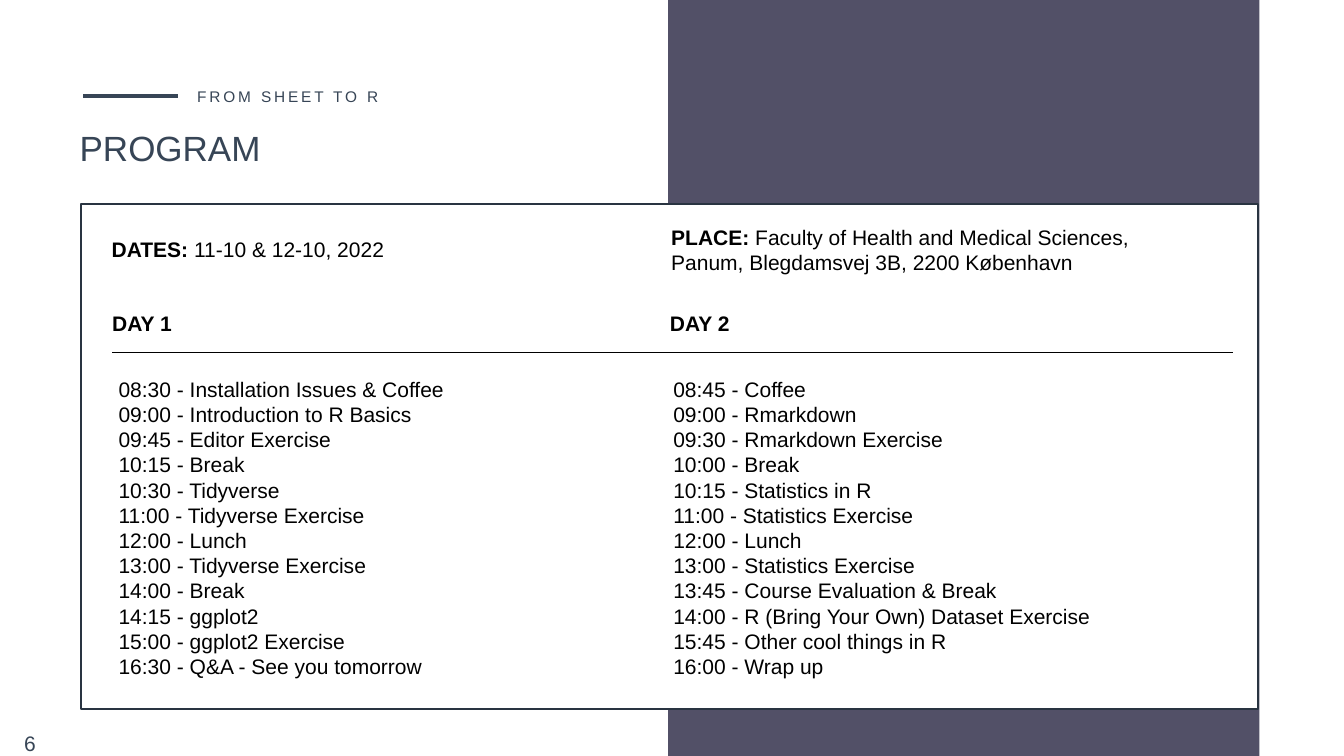
"""Build the two-day course program slide."""
from dataclasses import dataclass

import pptx
import pptx.dml.color
import pptx.enum.shapes
import pptx.enum.text
import pptx.oxml.ns
import pptx.util

Inches = pptx.util.Inches
Pt = pptx.util.Pt
ALIGN = pptx.enum.text.PP_ALIGN
ANCHOR = pptx.enum.text.MSO_ANCHOR

SLATE = "374556"
NAVY = "293441"
PURPLE = "525067"
BLACK = "000000"
WHITE = "FFFFFF"


@dataclass
class Label:
    left: float
    top: float
    width: float
    height: float
    lines: list[str]
    bold: str = ""
    size: float = 30
    color: str = BLACK
    align: int = ALIGN.LEFT
    anchor: int = ANCHOR.MIDDLE
    wrap: bool = False
    inset: float = 0.06
    spacing: int = 0


@dataclass
class Rule:
    left: float
    right: float
    y: float
    color: str
    weight: float


def rgb(color: str) -> pptx.dml.color.RGBColor:
    return pptx.dml.color.RGBColor.from_string(color)


def add_panel(s, left: float, top: float, width: float, height: float,
              fill: str, line: str = "") -> None:
    sp = s.shapes.add_shape(pptx.enum.shapes.MSO_SHAPE.RECTANGLE, Inches(left),
                            Inches(top), Inches(width), Inches(height))
    sp.shadow.inherit = False
    sp.fill.solid()
    sp.fill.fore_color.rgb = rgb(fill)
    if line:
        sp.line.color.rgb = rgb(line)
        sp.line.width = Pt(3)
    else:
        sp.line.fill.background()


def add_label(s, label: Label) -> None:
    sp = s.shapes.add_textbox(Inches(label.left), Inches(label.top),
                              Inches(label.width), Inches(label.height))
    tf = sp.text_frame
    tf.word_wrap = label.wrap
    tf.vertical_anchor = label.anchor
    tf.margin_left = tf.margin_right = Inches(label.inset)
    tf.margin_top = tf.margin_bottom = Inches(label.inset)
    tf.text = "\n".join(label.lines)
    if label.bold:
        p = tf.paragraphs[0]
        p.text = label.bold
        p.runs[0].font.bold = True
        if label.lines[0]:
            p.add_run().text = label.lines[0]
    for p in tf.paragraphs:
        p.alignment = label.align
        for r in p.runs:
            r.font.name = "Arial"
            r.font.size = Pt(label.size)
            r.font.color.rgb = rgb(label.color)
            if label.spacing:
                r.font._element.set("spc", str(label.spacing))


def add_rule(s, rule: Rule) -> None:
    sp = s.shapes.add_connector(pptx.enum.shapes.MSO_CONNECTOR.STRAIGHT,
                                Inches(rule.left), Inches(rule.y),
                                Inches(rule.right), Inches(rule.y))
    sp.line.color.rgb = rgb(rule.color)
    sp.line.width = Pt(rule.weight)
    sp._element.spPr.append(pptx.oxml.parse_xml(
        f"<a:effectLst {pptx.oxml.ns.nsdecls('a')}/>"))


DAY_1 = [
    "08:30 - Installation Issues & Coffee",
    "09:00 - Introduction to R Basics",
    "09:45 - Editor Exercise",
    "10:15 - Break",
    "10:30 - Tidyverse",
    "11:00 - Tidyverse Exercise",
    "12:00 - Lunch",
    "13:00 - Tidyverse Exercise",
    "14:00 - Break",
    "14:15 - ggplot2",
    "15:00 - ggplot2 Exercise",
    "16:30 - Q&A - See you tomorrow",
]
DAY_2 = [
    "08:45 - Coffee",
    "09:00 - Rmarkdown",
    "09:30 - Rmarkdown Exercise",
    "10:00 - Break",
    "10:15 - Statistics in R",
    "11:00 - Statistics Exercise",
    "12:00 - Lunch",
    "13:00 - Statistics Exercise",
    "13:45 - Course Evaluation & Break",
    "14:00 - R (Bring Your Own) Dataset Exercise",
    "15:45 - Other cool things in R",
    "16:00 - Wrap up",
]
LABELS = [
    Label(1.53, 2.46, 10.37, 1, ["PROGRAM"], size=50, color=SLATE,
          anchor=ANCHOR.TOP, wrap=True, inset=0.05),
    Label(3.86, 1.67, 7.07, 0.48, ["FROM SHEET TO R"], size=22, color=SLATE,
          anchor=ANCHOR.TOP, wrap=True, inset=0.05, spacing=410),
    Label(0.42, 14.45, 0.45, 0.6, ["6"], color=SLATE, wrap=True),
    Label(2.16, 6.11, 1.31, 0.61, [""], "DAY 1", align=ALIGN.CENTER),
    Label(13.22, 6.11, 1.31, 0.61, [""], "DAY 2", align=ALIGN.CENTER),
    Label(2.15, 4.64, 5.53, 0.61, ["11-10 & 12-10, 2022"], "DATES: ",
          align=ALIGN.CENTER),
    Label(13.25, 4.39, 10.37, 1.11,
          [" Faculty of Health and Medical Sciences, "
           "Panum, Blegdamsvej 3B, 2200 København"], "PLACE:", wrap=True),
    Label(2.29, 7.41, 6.58, 6.11, DAY_1),
    Label(13.29, 7.41, 8.39, 6.11, DAY_2),
]
RULES = [Rule(1.65, 3.52, 1.91, SLATE, 6), Rule(2.23, 24.44, 7, BLACK, 1)]


def main() -> None:
    prs = pptx.Presentation()
    prs.slide_width = Inches(26.65)
    prs.slide_height = Inches(15)
    s = prs.slides.add_slide(prs.slide_layouts[6])
    add_panel(s, 13.25, 0, 11.72, 15, PURPLE)
    add_panel(s, 1.6, 4.04, 23.34, 10.03, WHITE, NAVY)
    for label in LABELS:
        add_label(s, label)
    for rule in RULES:
        add_rule(s, rule)
    prs.save("out.pptx")


if __name__ == "__main__":
    main()
